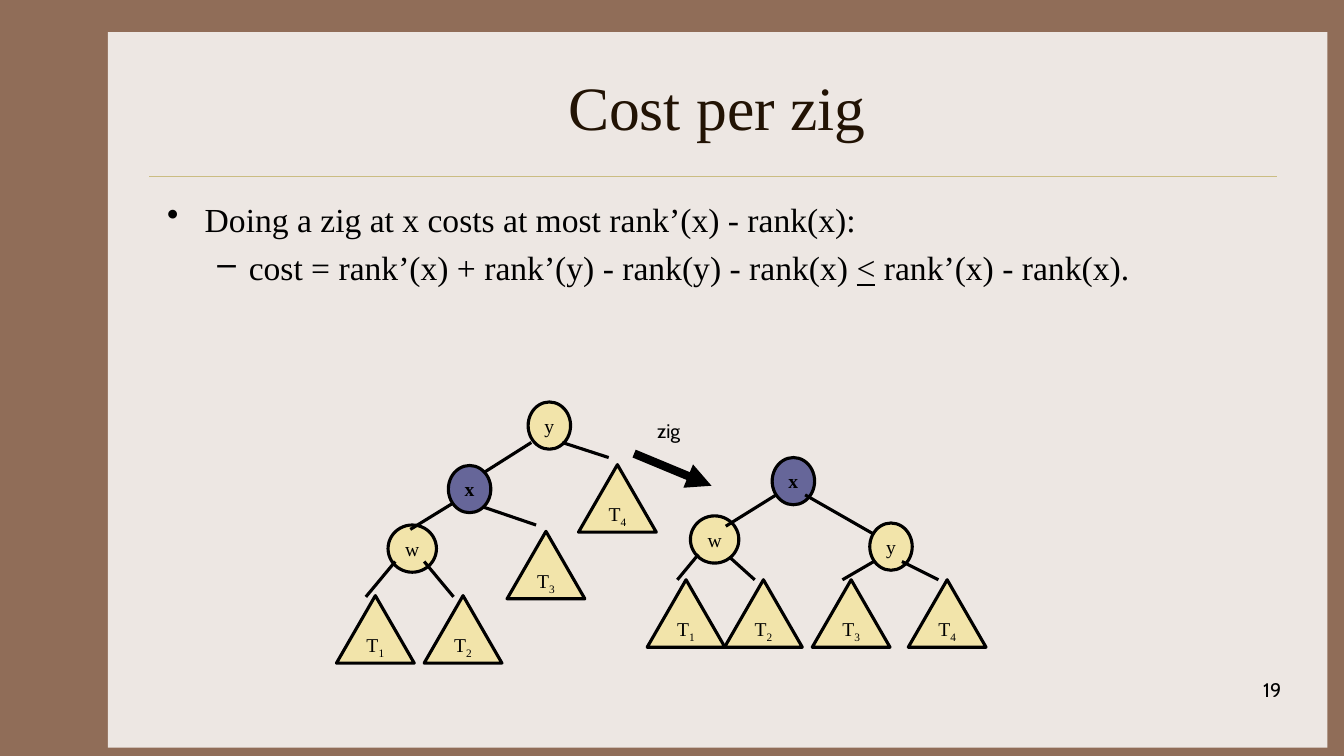
import pptx
import pptx.util
import pptx.dml.color
import pptx.enum.shapes
import pptx.enum.text
import pptx.oxml
import pptx.oxml.ns

Cm, Pt = pptx.util.Cm, pptx.util.Pt
KIND = pptx.enum.shapes.MSO_SHAPE
ALIGN = pptx.enum.text.PP_ALIGN
ANCHOR = pptx.enum.text.MSO_ANCHOR
SERIF, SANS = "Times New Roman", "Cabin"
BLACK, CREAM, BLUE = "000000", "F2E4AA", "666699"


def tint(code):
    return pptx.dml.color.RGBColor.from_string(code)


def write(par, text, size, face=SERIF, color=BLACK, align=ALIGN.LEFT):
    """Put text in a paragraph with its font, and return the run."""
    run = par.add_run()
    run.text = text
    par.alignment = align
    par.font.size = Pt(size)
    par.font.name = face
    par.font.color.rgb = tint(color)
    return run


deck = pptx.Presentation()
deck.slide_width, deck.slide_height = Cm(33.87), Cm(19.05)
slide = deck.slides.add_slide(deck.slide_layouts[6])
slide.background.fill.solid()
slide.background.fill.fore_color.rgb = tint("906D58")
shapes = slide.shapes

panel = shapes.add_shape(KIND.RECTANGLE, Cm(2.72), Cm(0.81), Cm(30.73), Cm(18.85 - 0.81))
panel.height = Cm(18.03)
panel.shadow.inherit = False
panel.fill.solid()
panel.fill.fore_color.rgb = tint("EDE7E3")
panel.line.fill.background()

# Title, page number and arrow label
labels = [
    ("Cost per zig", (3.96, 1.07, 28.22, 3.18), 44, SERIF, "221304", ALIGN.CENTER, ANCHOR.MIDDLE, True),
    ("19", (25.48, 16.97, 7.06, 1.27), 14, SANS, BLACK, ALIGN.RIGHT, ANCHOR.TOP, True),
    ("zig", (16.31, 10.41, 1.12, 0.86), 14, SANS, BLACK, ALIGN.LEFT, ANCHOR.MIDDLE, False),
]
for text, box, size, face, color, align, anchor, wrap in labels:
    frame = shapes.add_textbox(*map(Cm, box)).text_frame
    frame.word_wrap = wrap
    frame.vertical_anchor = anchor
    write(frame.paragraphs[0], text, size, face, color, align)

# Bullets: mark, level, left margin, hanging indent, text parts
bullets = [
    ("•", 0, 0.95, 0.95, ["Doing a zig at x costs at most rank’(x) - rank(x):"]),
    ("–", 1, 2.06, 0.79, ["cost = rank’(x) + rank’(y) - rank(y) - rank(x) ", "<",
                          " rank’(x) - rank(x)."]),
]
body = shapes.add_textbox(Cm(3.96), Cm(4.88), Cm(28.22), Cm(11.43)).text_frame
body.word_wrap = True
for mark, level, left, hang, parts in bullets:
    par = body.add_paragraph() if level else body.paragraphs[0]
    par.level = level
    if level:
        par.space_before = Pt(6)
    props = par._p.get_or_add_pPr()
    props.set("marL", str(Cm(left)))
    props.set("indent", str(-Cm(hang)))
    props.append(pptx.oxml.parse_xml(
        f'<a:buChar {pptx.oxml.ns.nsdecls("a")} char="{mark}"/>'))
    for part in parts:
        run = write(par, part, 24)
        if part == "<":
            run.font.underline = True

# Tree nodes: name, left, top
nodes = [
    ("y", 13.31, 10.13), ("x", 11.3, 11.73), ("w", 9.78, 13.23),
    ("T1", 8.48, 15.01), ("T2", 10.69, 15.01), ("T3", 12.78, 13.39), ("T4", 14.58, 11.71),
    ("x", 19.46, 11.53), ("w", 17.4, 13), ("y", 21.92, 13.18),
    ("T1", 16.31, 14.61), ("T2", 18.26, 14.61), ("T3", 20.47, 14.61), ("T4", 22.89, 14.61),
]
for name, left, top in nodes:
    if name[0] == "T":
        kind, wide, high = KIND.ISOSCELES_TRIANGLE, 1.96, 1.7
    else:
        kind, wide, high = KIND.OVAL, 1.22 if name == "w" else 1.07, 1.19
    node = shapes.add_shape(kind, Cm(left), Cm(top), Cm(wide), Cm(high))
    node.shadow.inherit = False
    node.fill.solid()
    node.fill.fore_color.rgb = tint(BLUE if name == "x" else CREAM)
    node.line.color.rgb = tint(BLACK)
    node.line.width = Pt(2.25)
    frame = node.text_frame
    frame.word_wrap = False
    frame.vertical_anchor = ANCHOR.MIDDLE
    par = frame.paragraphs[0]
    write(par, name[0], 14, align=ALIGN.CENTER)
    par.font.bold = name == "x"
    if name[1:]:
        low = write(par, name[1:], 14, align=ALIGN.CENTER)
        low._r.get_or_add_rPr().set("baseline", "-25000")

# Lines: ends, colour, width
edges = [
    (13.39, 11.15, 12.19, 11.91), (14.17, 11.15, 15.34, 11.53),
    (11.43, 12.67, 10.34, 13.34), (12.19, 12.78, 13.51, 13.23),
    (9.96, 14.15, 9.22, 15.04), (10.69, 14.15, 11.43, 15.04),
    (19.56, 12.47, 18.29, 13.26), (20.29, 12.47, 22.02, 13.46),
    (17.6, 13.97, 17.07, 14.61), (18.42, 14.07, 19.02, 14.61),
    (22.02, 14.15, 21.23, 14.61), (22.73, 14.15, 23.65, 14.61),
]
lines = [((3.76, 4.45, 32.18, 4.45), "CBBD83", 0.25)]
lines += [(edge, BLACK, 2.25) for edge in edges]
lines.append(((15.98, 11.43, 17.93, 12.24), BLACK, 6))
for ends, color, width in lines:
    line = shapes.add_connector(pptx.enum.shapes.MSO_CONNECTOR.STRAIGHT, *map(Cm, ends))
    line.line.color.rgb = tint(color)
    line.line.width = Pt(width)
    props = line._element.spPr
    props.append(pptx.oxml.parse_xml(f'<a:effectLst {pptx.oxml.ns.nsdecls("a")}/>'))
    if width == 6:
        line.line._get_or_add_ln().append(pptx.oxml.parse_xml(
            f'<a:tailEnd {pptx.oxml.ns.nsdecls("a")} type="triangle"/>'))

deck.save("out.pptx")
